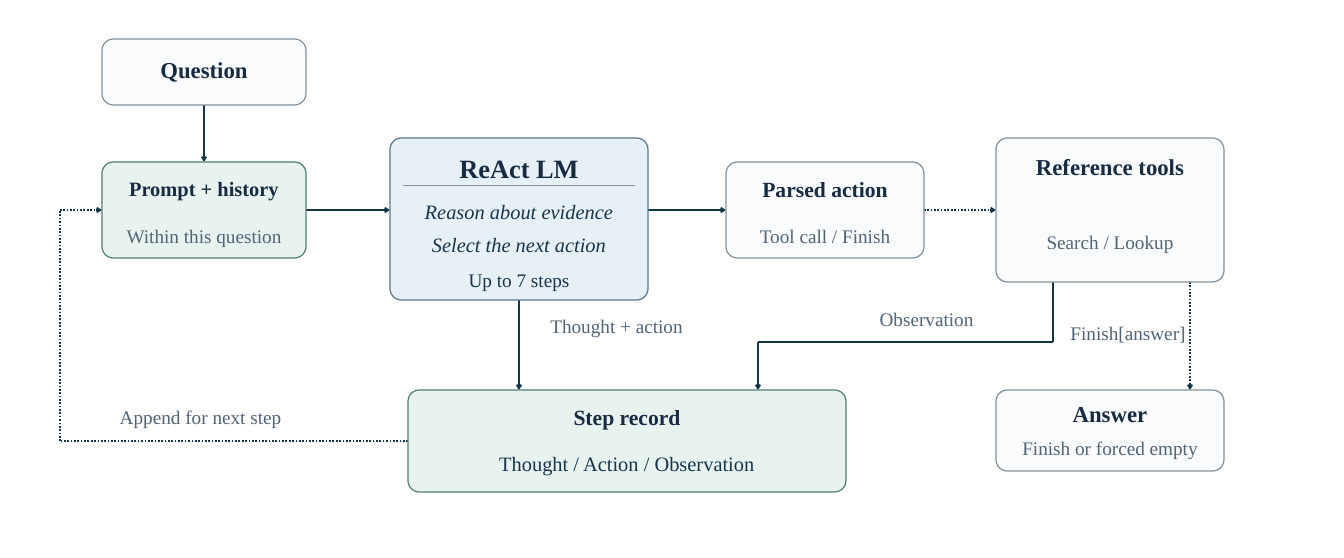
from dataclasses import dataclass
from itertools import pairwise

from pptx import Presentation
from pptx.dml.color import RGBColor
from pptx.enum.dml import MSO_LINE
from pptx.enum.shapes import MSO_CONNECTOR as Connector, MSO_SHAPE as Shape
from pptx.enum.text import MSO_ANCHOR as Anchor, PP_ALIGN as Align
from pptx.oxml.ns import qn
from pptx.util import Emu, Pt
from lxml.etree import SubElement

PX = 15875


@dataclass(frozen=True)
class TextStyle:
    size: float
    color: str
    bold: bool = False
    italic: bool = False


@dataclass(frozen=True)
class Theme:
    font = "Times New Roman"
    background = "FFFFFF"
    arrow = "15354A"
    rule = "839099"
    plain = ("FAFBFC", "839099")
    green = ("E8F3EF", "507E71")
    blue = ("E8F0F7", "59778E")
    arrow_width = 2.1
    box_width = 1.5
    rule_width = 1.05
    radius = 11.4
    inset = 11
    line_height = 28
    hero = TextStyle(33, "172B42", bold=True)
    head = TextStyle(28.5, "172B42", bold=True)
    subhead = TextStyle(27, "172B42", bold=True)
    small_head = TextStyle(25.5, "172B42", bold=True)
    note = TextStyle(24, "526477")
    strong_note = TextStyle(24, "15354A")
    body = TextStyle(25.5, "15354A")
    emphasis = TextStyle(25.5, "15354A", italic=True)


def px(*lengths):
    return [Emu(n * PX) for n in lengths]


class Diagram:
    def __init__(self, theme, width, height):
        self.theme = theme
        self.prs = Presentation()
        self.prs.slide_width, self.prs.slide_height = px(width, height)
        self.s = self.prs.slides.add_slide(self.prs.slide_layouts[6])
        fill = self.s.background.fill
        fill.solid()
        fill.fore_color.rgb = RGBColor.from_string(theme.background)

    def line(self, shapes, start, end, color, width):
        c = shapes.add_connector(Connector.STRAIGHT, *px(*start, *end))
        c.line.color.rgb = RGBColor.from_string(color)
        c.line.width = Pt(width)
        SubElement(c._element.spPr, qn("a:effectLst"))
        return c

    def arrow(self, *points, dotted=False):
        t = self.theme
        group = self.s.shapes.add_group_shape()
        for start, end in pairwise(points):
            c = self.line(group.shapes, start, end, t.arrow, t.arrow_width)
            if dotted:
                c.line.dash_style = MSO_LINE.ROUND_DOT
        SubElement(c.line._get_or_add_ln(), qn("a:tailEnd"), type="arrow")

    def rule(self, start, end):
        self.line(self.s.shapes, start, end, self.theme.rule, self.theme.rule_width)

    def box(self, x, y, w, h, colors, *rows):
        t = self.theme
        sp = self.s.shapes.add_shape(Shape.ROUNDED_RECTANGLE, *px(x, y, w, h))
        sp.adjustments[0] = t.radius / min(w, h)
        sp.shadow.inherit = False
        fill, outline = colors
        sp.fill.solid()
        sp.fill.fore_color.rgb = RGBColor.from_string(fill)
        sp.line.color.rgb = RGBColor.from_string(outline)
        sp.line.width = Pt(t.box_width)
        for text, middle, style in rows:
            self.text(text, x + t.inset, middle, w - 2 * t.inset, style)

    def text(self, text, x, middle, w, style):
        t = self.theme
        top = middle - t.line_height // 2
        tf = self.s.shapes.add_textbox(*px(x, top, w, t.line_height)).text_frame
        tf.margin_left = tf.margin_right = tf.margin_top = tf.margin_bottom = 0
        tf.word_wrap = False
        tf.vertical_anchor = Anchor.MIDDLE
        tf.text = text
        p = tf.paragraphs[0]
        p.alignment = Align.CENTER
        font = p.runs[0].font
        font.name = t.font
        font.size = Pt(style.size)
        font.bold = style.bold
        font.italic = style.italic
        font.color.rgb = RGBColor.from_string(style.color)


def main():
    t = Theme()
    d = Diagram(t, 1344, 558)

    d.arrow((204, 105), (204, 162))
    d.arrow((306, 210), (390, 210))
    d.arrow((648, 210), (726, 210))
    d.arrow((924, 210), (996, 210), dotted=True)
    d.arrow((519, 300), (519, 390))
    d.arrow((1053, 282), (1053, 342), (758, 342), (758, 390))
    d.arrow((408, 441), (60, 441), (60, 210), (102, 210), dotted=True)
    d.arrow((1190, 282), (1190, 390), dotted=True)

    d.box(102, 39, 204, 66, t.plain, ("Question", 69, t.head))
    d.box(102, 162, 204, 96, t.green,
          ("Prompt + history", 188, t.small_head),
          ("Within this question", 236, t.note))
    d.box(390, 138, 258, 162, t.blue,
          ("ReAct LM", 168, t.hero),
          ("Reason about evidence", 211, t.emphasis),
          ("Select the next action", 244, t.emphasis),
          ("Up to 7 steps", 280, t.strong_note))
    d.rule((403, 185), (635, 185))
    d.box(726, 162, 198, 96, t.plain,
          ("Parsed action", 189, t.subhead),
          ("Tool call / Finish", 236, t.note))
    d.box(996, 138, 228, 144, t.plain,
          ("Reference tools", 166, t.head),
          ("Search / Lookup", 242, t.note))
    d.box(408, 390, 438, 102, t.green,
          ("Step record", 417, t.subhead),
          ("Thought / Action / Observation", 463, t.body))
    d.box(996, 390, 228, 81, t.plain,
          ("Answer", 413, t.head),
          ("Finish or forced empty", 448, t.note))

    d.text("Thought + action", 540, 326, 153, t.note)
    d.text("Observation", 870, 319, 113, t.note)
    d.text("Append for next step", 108, 417, 185, t.note)
    d.text("Finish[answer]", 1062, 333, 132, t.note)

    d.prs.save("out.pptx")


if __name__ == "__main__":
    main()
